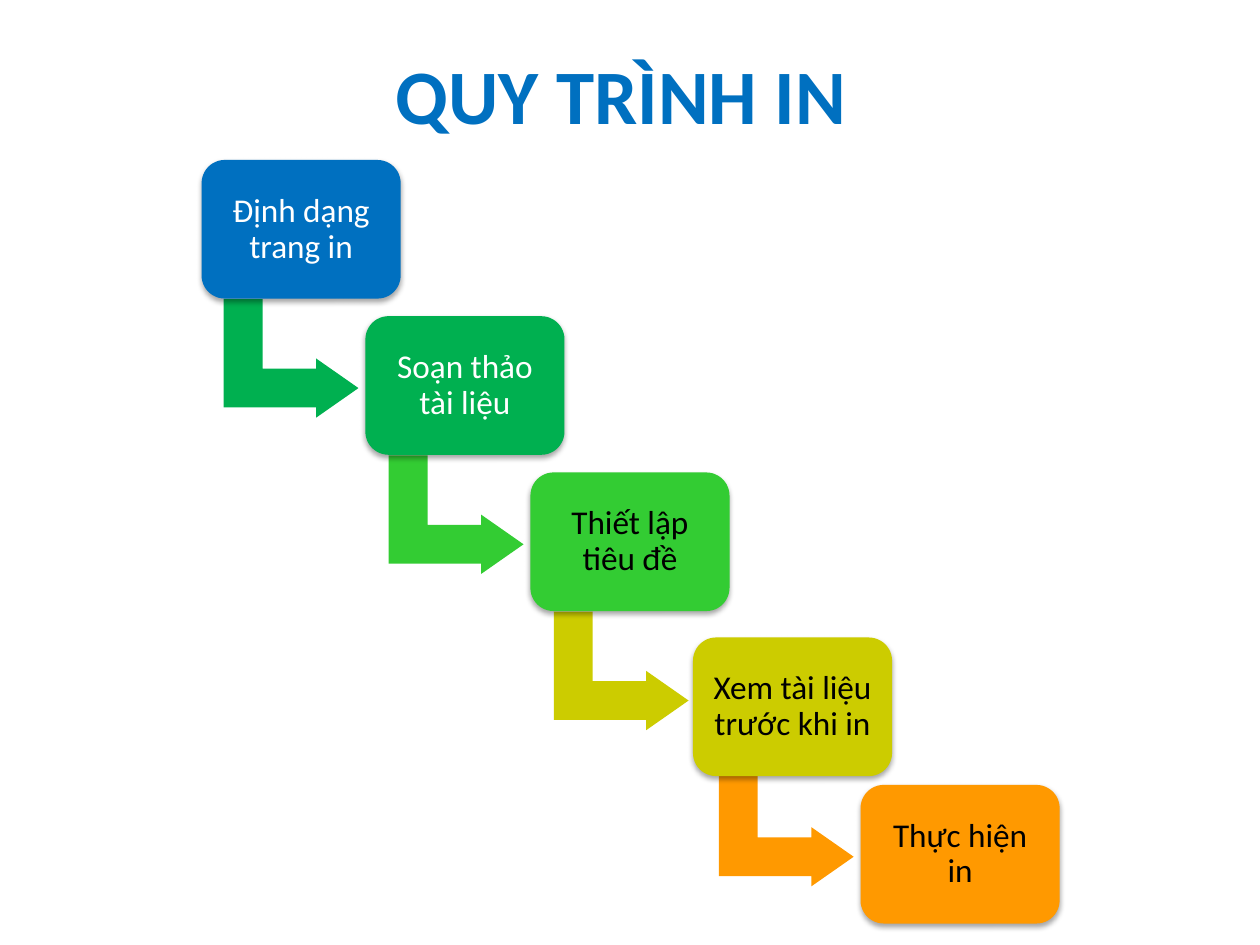
from typing import NamedTuple

from lxml import etree
from pptx import Presentation
from pptx.dml.color import RGBColor
from pptx.enum import shapes, text
from pptx.oxml import ns
from pptx.util import Inches, Pt

BLUE = RGBColor(0x00, 0x70, 0xC0)
GREEN = RGBColor(0x00, 0xB0, 0x50)
LIME = RGBColor(0x33, 0xCC, 0x33)
OLIVE = RGBColor(0xCC, 0xCC, 0x00)
ORANGE = RGBColor(0xFF, 0x99, 0x00)
WHITE = RGBColor(0xFF, 0xFF, 0xFF)
BLACK = RGBColor(0x00, 0x00, 0x00)

CARD_W, CARD_H = 1.58, 1.1
ARROW_W, ARROW_H = 0.94, 1.07
ARROW_X, ARROW_Y = 1.84, 2.31
STEP_X, STEP_Y = 1.31, 1.24


class Step(NamedTuple):
    label: str
    left: float
    top: float
    fill: RGBColor
    ink: RGBColor


STEPS = [
    Step("Định dạng trang in", 1.6, 1.27, BLUE, WHITE),
    Step("Soạn thảo tài liệu", 2.9, 2.51, GREEN, WHITE),
    Step("Thiết lập tiêu đề", 4.21, 3.75, LIME, BLACK),
    Step("Xem tài liệu trước khi in", 5.5, 5.06, OLIVE, BLACK),
    Step("Thực hiện in", 6.83, 6.23, ORANGE, BLACK),
]


def write(shape, words: str, *, size: float, color: RGBColor,
          bold: bool = False, inset: float = 0.1, line: float = 1.0) -> None:
    frame = shape.text_frame
    frame.word_wrap = True
    frame.vertical_anchor = text.MSO_ANCHOR.MIDDLE
    frame.margin_left = frame.margin_right = Inches(inset)
    frame.margin_top = frame.margin_bottom = Inches(inset)
    para = frame.paragraphs[0]
    para.alignment = text.PP_ALIGN.CENTER
    para.line_spacing = line
    run = para.add_run()
    run.text = words
    run.font.name = "Calibri"
    run.font.size = Pt(size)
    run.font.bold = bold
    run.font.color.rgb = color


def add_block(slide, kind, left: float, top: float, width: float,
              height: float, fill: RGBColor):
    """Add a flat preset shape without outline or shadow."""
    block = slide.shapes.add_shape(
        kind, Inches(left), Inches(top), Inches(width), Inches(height))
    block.shadow.inherit = False
    block.fill.solid()
    block.fill.fore_color.rgb = fill
    block.line.fill.background()
    return block


def add_shadow(shape) -> None:
    """Put a soft shadow straight below the shape."""
    effects = shape._element.spPr.find(ns.qn("a:effectLst"))
    outer = etree.SubElement(
        effects, ns.qn("a:outerShdw"), blurRad=str(Pt(3.1)),
        dist=str(Pt(1.8)), dir="5400000", rotWithShape="0")
    color = etree.SubElement(outer, ns.qn("a:srgbClr"), val=str(BLACK))
    etree.SubElement(color, ns.qn("a:alpha"), val="35000")


def add_card(slide, step: Step) -> None:
    card = add_block(slide, shapes.MSO_SHAPE.ROUNDED_RECTANGLE,
                     step.left, step.top, CARD_W, CARD_H, step.fill)
    card.adjustments[0] = 0.167
    add_shadow(card)
    write(card, step.label, size=19, color=step.ink, inset=0.08, line=0.9)


def add_arrow(slide, index: int, fill: RGBColor) -> None:
    arrow = add_block(slide, shapes.MSO_SHAPE.BENT_UP_ARROW,
                      ARROW_X + index * STEP_X, ARROW_Y + index * STEP_Y,
                      ARROW_W, ARROW_H, fill)
    arrow.rotation = 90
    for spot, value in enumerate((0.328, 0.25, 0.358)):
        arrow.adjustments[spot] = value


def main() -> None:
    deck = Presentation()
    deck.slide_width, deck.slide_height = Inches(10), Inches(7.5)
    slide = deck.slides.add_slide(deck.slide_layouts[6])

    title = slide.shapes.add_textbox(
        Inches(0.43), Inches(0.21), Inches(9), Inches(1.07))
    write(title, "QUY TRÌNH IN", size=44, color=BLUE, bold=True)

    # Each arrow takes the colour of the card it leads to.
    for index, step in enumerate(STEPS):
        if index + 1 < len(STEPS):
            add_arrow(slide, index, STEPS[index + 1].fill)
        add_card(slide, step)

    deck.save("out.pptx")


if __name__ == "__main__":
    main()
